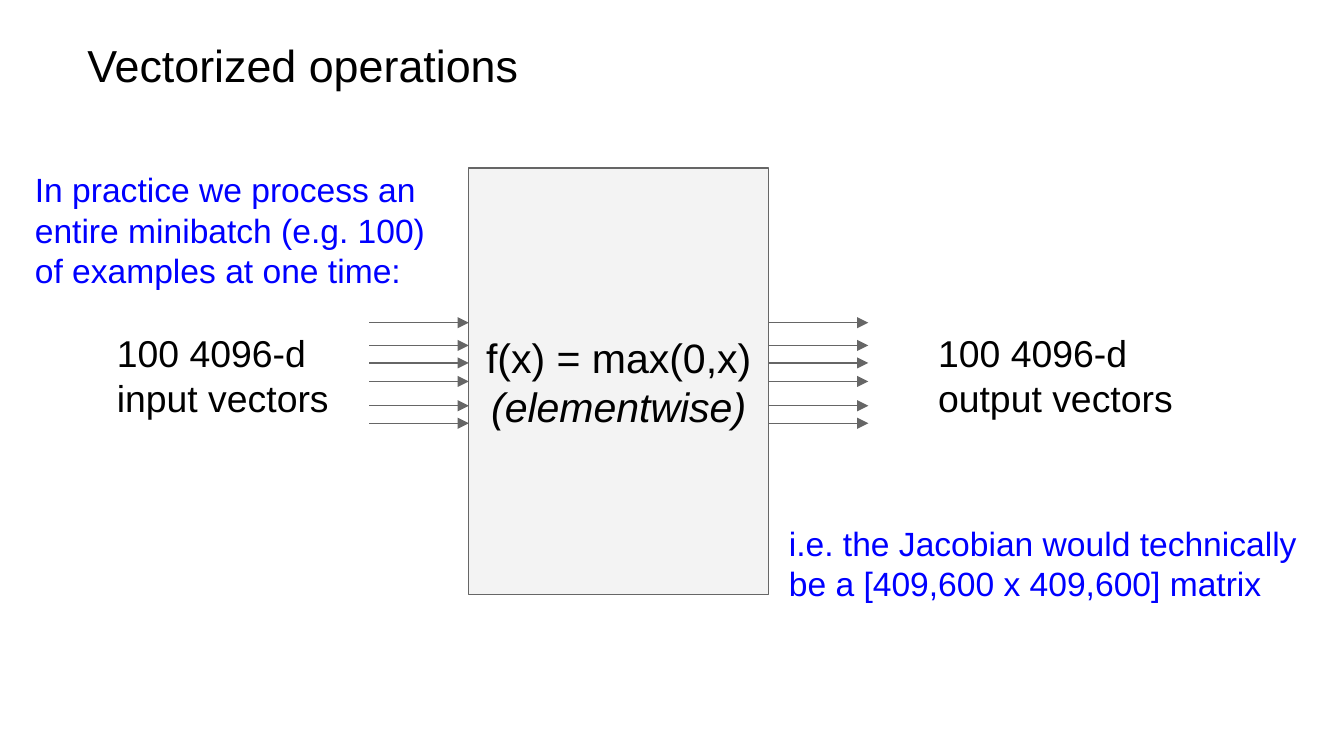
from lxml import etree
from pptx import Presentation
from pptx import util as u
from pptx.dml.color import RGBColor
from pptx.enum import shapes, text
from pptx.oxml import ns

BLACK = RGBColor(0x00, 0x00, 0x00)
BLUE = RGBColor(0x00, 0x00, 0xFF)
GREY = RGBColor(0x66, 0x66, 0x66)
PALE = RGBColor(0xF3, 0xF3, 0xF3)


class SlideBuilder:
    """Holds the shared style and the current slide."""

    font_name = "Arial"
    line_width = u.Pt(0.75)
    inset = u.Cm(0.25)

    def __init__(self, slide):
        self.slide = slide

    def set_text(self, shape, lines, size, color, align, anchor, italic_lines=()):
        frame = shape.text_frame
        frame_format = {
            "word_wrap": True, "vertical_anchor": anchor,
            "margin_left": self.inset, "margin_right": self.inset,
            "margin_top": self.inset, "margin_bottom": self.inset,
        }
        for name, value in frame_format.items():
            setattr(frame, name, value)
        for index, line in enumerate(lines):
            paragraph = frame.paragraphs[0] if index == 0 else frame.add_paragraph()
            paragraph.alignment = align
            run = paragraph.add_run()
            run.text = line
            font_format = {"name": self.font_name, "size": u.Pt(size),
                           "italic": index in italic_lines}
            for name, value in font_format.items():
                setattr(run.font, name, value)
            run.font.color.rgb = color

    def label(self, place, lines, size, color=BLACK):
        shape = self.slide.shapes.add_textbox(*map(u.Cm, place))
        self.set_text(shape, lines, size, color,
                      text.PP_ALIGN.LEFT, text.MSO_ANCHOR.TOP)

    def box(self, place, lines, size, italic_lines):
        shape = self.slide.shapes.add_shape(
            shapes.MSO_SHAPE.RECTANGLE, *map(u.Cm, place))
        shape.shadow.inherit = False
        shape.fill.solid()
        shape.fill.fore_color.rgb = PALE
        shape.line.color.rgb = GREY
        shape.line.width = self.line_width
        self.set_text(shape, lines, size, BLACK, text.PP_ALIGN.CENTER,
                      text.MSO_ANCHOR.MIDDLE, italic_lines)
        return shape

    def arrow(self, start, end, y):
        connector = self.slide.shapes.add_connector(
            shapes.MSO_CONNECTOR.STRAIGHT,
            u.Cm(start), u.Cm(y), u.Cm(end), u.Cm(y))
        connector.line.color.rgb = GREY
        connector.line.width = self.line_width
        properties = connector._element.spPr
        head = etree.SubElement(properties.get_or_add_ln(), ns.qn("a:tailEnd"))
        for name, value in {"type": "triangle", "w": "med", "len": "med"}.items():
            head.set(name, value)
        etree.SubElement(properties, ns.qn("a:effectLst"))
        return connector


def main():
    presentation = Presentation()
    presentation.slide_width = u.Cm(25.4)
    presentation.slide_height = u.Cm(14.29)
    builder = SlideBuilder(
        presentation.slides.add_slide(presentation.slide_layouts[6]))

    # Title
    builder.label((1.4, 0.46, 20.19, 1.55), ["Vectorized operations"], 24)

    # Function box
    left, top, width, height = 8.86, 3.18, 5.67, 8.06
    right, middle = left + width, top + height / 2
    function_box = builder.box((left, top, width, height),
                               ["f(x) = max(0,x)", "(elementwise)"], 22, {1})

    # Input and output vectors
    arrow_length = 1.88
    for y in (6.1, 6.53, 6.86, middle, 7.67, 8):
        input_arrow = builder.arrow(left - arrow_length, left, y)
        output_arrow = builder.arrow(right, right + arrow_length, y)
        if y == middle:
            input_arrow.end_connect(function_box, 1)
            output_arrow.begin_connect(function_box, 3)
    builder.label((1.96, 6, 6.76, 1.3), ["100 4096-d", "input vectors"], 20)
    builder.label((17.48, 6, 5.23, 1.3), ["100 4096-d", "output vectors"], 20)

    # Remarks
    builder.label(
        (0.41, 2.95, 8.26, 1.8),
        ["In practice we process an entire minibatch (e.g. 100) "
         "of examples at one time:"], 18, BLUE)
    builder.label(
        (14.66, 9.63, 10.72, 1.8),
        ["i.e. the Jacobian would technically "
         "be a [409,600 x 409,600] matrix"], 18, BLUE)

    presentation.save("out.pptx")


if __name__ == "__main__":
    main()
